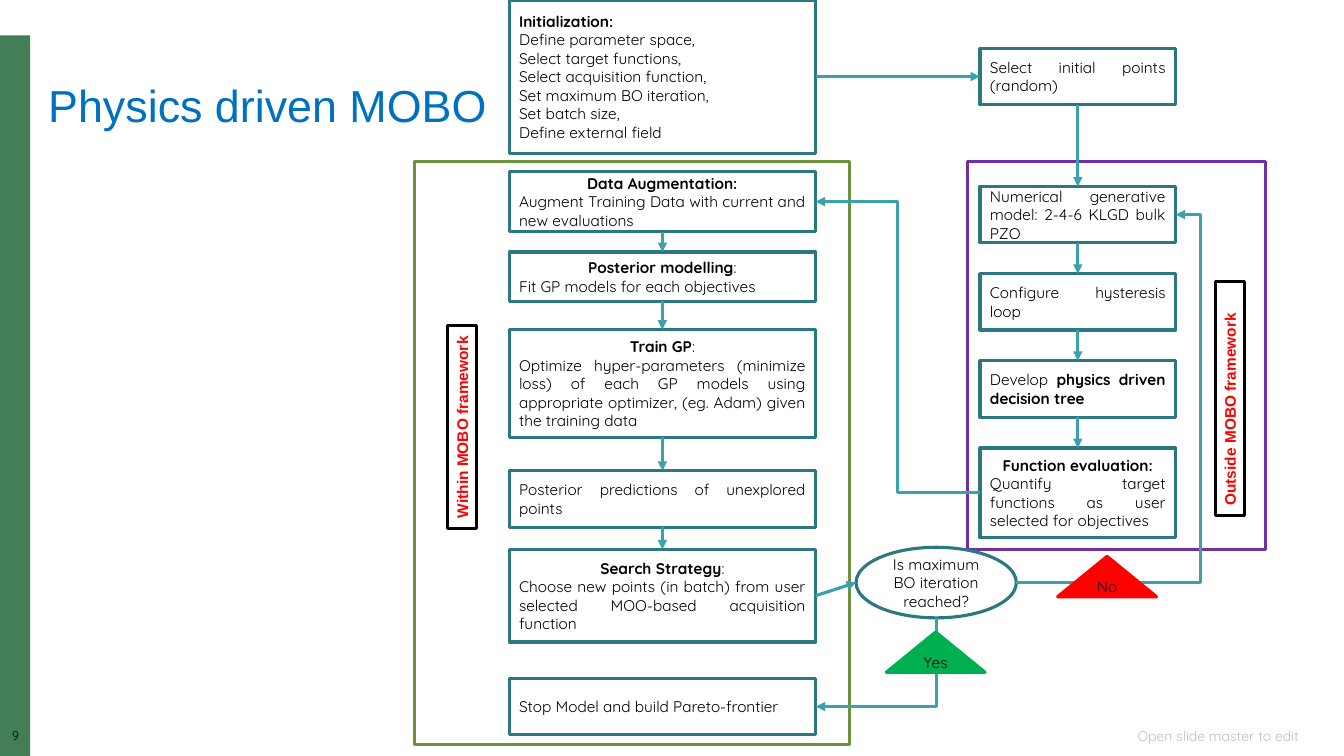
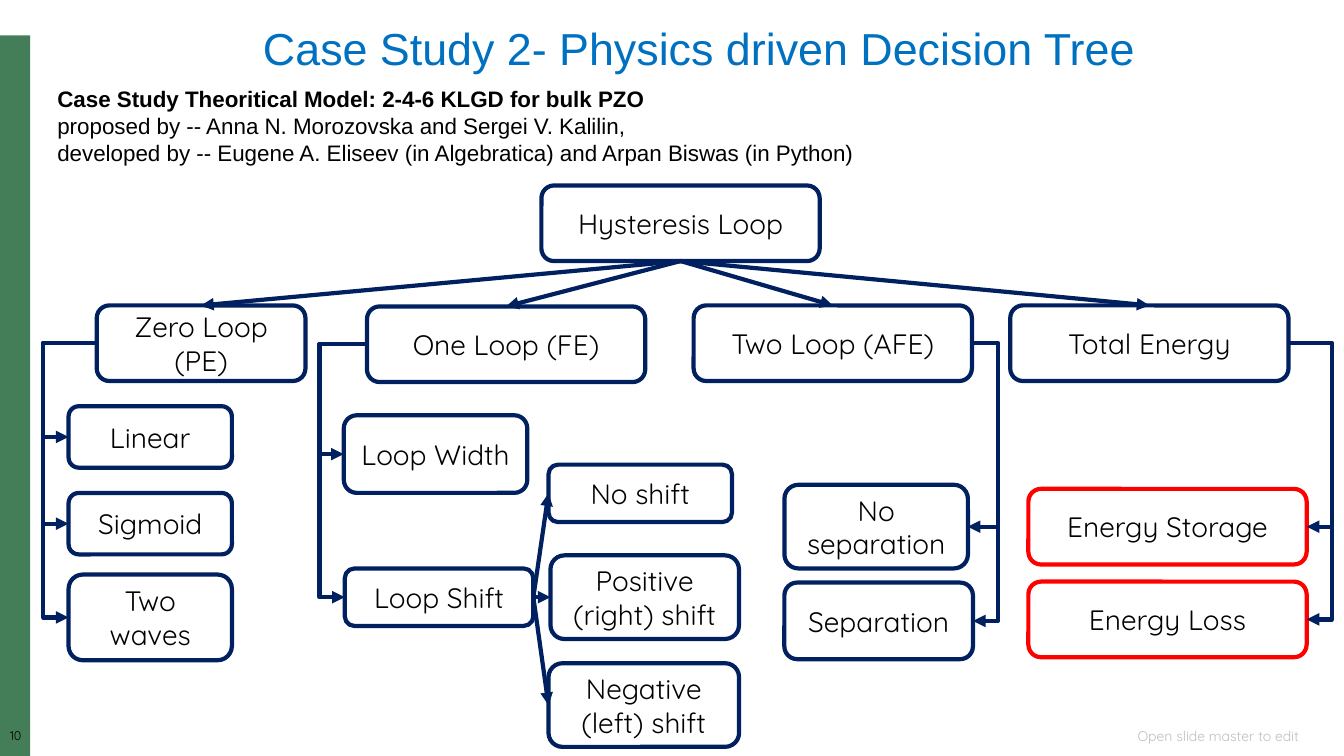
from dataclasses import dataclass
from itertools import pairwise

from lxml.etree import SubElement
from pptx import Presentation
from pptx.dml.color import RGBColor
from pptx.enum.shapes import MSO_CONNECTOR as Connector, MSO_SHAPE as Shape
from pptx.enum.text import MSO_ANCHOR as Anchor, PP_ALIGN as Align
from pptx.oxml.ns import qn
from pptx.util import Inches, Pt

COLORS = {
    "band": "447E59", "title": "0070C0", "text": "000000", "footer": "BFBFBF",
    "box": "2C7880", "arrow": "3BA2AD", "within": "6C923A", "outside": "7030A0",
    "tree": "002060", "red": "FF0000", "green": "00B050",
}
CELL = 0.1
COLUMNS, ROWS = 133.3, 75
TOP, LEFT, BOTTOM, RIGHT = range(4)
BODY, HEAD = "Quicksand", "Arial"
CENTER, JUSTIFY, START, END = Align.CENTER, Align.JUSTIFY, Align.LEFT, Align.RIGHT


@dataclass
class Box:
    """A rectangle in grid cells."""
    left: float
    top: float
    width: float
    height: float

    def area(self, left, top, width, height):
        """Return a rectangle placed from this one's top left corner."""
        return Box(self.left + left, self.top + top, width, height)

    def lengths(self):
        """Return the rectangle as slide lengths."""
        return [Inches(CELL * cells) for cells in (self.left, self.top, self.width, self.height)]


@dataclass
class Style:
    """The look of a text."""
    size: float
    font: str = BODY
    color: str = "text"
    bold: bool = False


FLOW, TREE = Style(11), Style(20)
LABEL = Style(11, HEAD, "red", True)


def rgb(name):
    """Look a colour up by name."""
    return RGBColor.from_string(COLORS[name])


def write(shape, paragraphs, style, anchor=Anchor.MIDDLE, wrap=True):
    """Fill a shape with paragraphs, each an alignment followed by its runs."""
    frame = shape.text_frame
    frame.word_wrap, frame.vertical_anchor = wrap, anchor
    for index, (align, *runs) in enumerate(paragraphs):
        paragraph = frame.add_paragraph() if index else frame.paragraphs[0]
        paragraph.alignment = align
        for text, bold in runs:
            run = paragraph.add_run()
            run.text = text
            font = run.font
            font.size, font.name, font.bold = Pt(style.size), style.font, bold or style.bold
            font.color.rgb = rgb(style.color)


def plain(text, align=JUSTIFY):
    """Return a paragraph of one regular run."""
    return align, (text, False)


def headed(heading, body, colon_bold=False):
    """Return a centred bold heading and its justified body."""
    runs = [(heading + ":", True)] if colon_bold else [(heading, True), (":", False)]
    return [(CENTER, *runs), plain(body)]


def add_text(slide, box, paragraphs, style, **options):
    """Add a text box."""
    shape = slide.shapes.add_textbox(*box.lengths())
    write(shape, paragraphs, style, **options)
    return shape


def add_node(slide, box, paragraphs=(), style=FLOW, line="box", kind=Shape.RECTANGLE,
             weight=2.25, fill=None, **options):
    """Add an outlined shape with text."""
    shape = slide.shapes.add_shape(kind, *box.lengths())
    shape.shadow.inherit = False
    if fill:
        shape.fill.solid()
        shape.fill.fore_color.rgb = rgb(fill)
    else:
        shape.fill.background()
    shape.line.color.rgb, shape.line.width = rgb(line), Pt(weight)
    write(shape, paragraphs, style, **options)
    return shape


def connect(slide, start, start_side, end, end_side, rail=None, corner=False,
            color="arrow", weight=2.25):
    """Glue an arrow to two shapes, straight, bent at a rail column, or with one corner."""
    kind = Connector.ELBOW if corner or rail is not None else Connector.STRAIGHT
    connector = slide.shapes.add_connector(kind, 0, 0, 0, 0)
    connector.begin_connect(start, start_side)
    connector.end_connect(end, end_side)
    element = connector._element
    for shape, side, tag in ((start, start_side, "a:stCxn"), (end, end_side, "a:endCxn")):
        if shape.auto_shape_type == Shape.OVAL:
            element.find(".//" + qn(tag)).set("idx", str(2 * side))
    connector.line.color.rgb, connector.line.width = rgb(color), Pt(weight)
    line = element.spPr.find(qn("a:ln"))
    SubElement(line, qn("a:headEnd" if corner else "a:tailEnd"), type="triangle")
    SubElement(element.spPr, qn("a:effectLst"))
    geometry = element.spPr.find(qn("a:prstGeom"))
    if corner:
        geometry.set("prst", "bentConnector2")
    elif rail is not None:
        share = (Inches(CELL * rail) - connector.begin_x) / (connector.end_x - connector.begin_x)
        adjustments = geometry.find(qn("a:avLst"))
        if adjustments is None:
            adjustments = SubElement(geometry, qn("a:avLst"))
        SubElement(adjustments, qn("a:gd"), name="adj1", fmla=f"val {round(share * 100000)}")


def add_base(presentation, number, title, title_box):
    """Add a slide with the band, page number, footer and title."""
    slide = presentation.slides.add_slide(presentation.slide_layouts[6])
    band = add_node(slide, Box(0, 3.5, 3, ROWS - 3.5), fill="band")
    band.line.fill.background()
    page = add_text(slide, Box(0, 72.4, 3.1, 1.7), [plain(number, CENTER)], Style(9), anchor=Anchor.TOP)
    frame = page.text_frame
    frame.margin_left = frame.margin_right = frame.margin_top = frame.margin_bottom = 0
    frame.paragraphs[0].line_spacing = 0.9
    add_text(slide, Box(87.6, 72, 42.2, 2), [plain("Open slide master to edit", END)],
             Style(10, color="footer"))
    add_text(slide, title_box, [plain(title, START)], Style(32, HEAD, "title"),
             anchor=Anchor.TOP, wrap=False)
    return slide


def draw_setup(slide, box):
    """Draw the initialization and the first points."""
    lines = ["Define parameter space,", "Select target functions,", "Select acquisition function,",
             "Set maximum BO iteration,", "Set batch size,", "Define external field"]
    start = add_node(slide, box.area(0, 0, 30.4, box.height),
                     [(JUSTIFY, ("Initialization:", True)), *map(plain, lines)])
    points = add_node(slide, box.area(box.width - 19.4, 4.8, 19.4, 5.6),
                      [plain("Select initial points (random)")])
    connect(slide, start, RIGHT, points, LEFT)
    return points


def draw_chain(slide, box, left, width, steps):
    """Draw steps below one another, joined by arrows."""
    nodes = [add_node(slide, box.area(left, top, width, height), paragraphs)
             for top, height, paragraphs in steps]
    for upper, lower in pairwise(nodes):
        connect(slide, upper, BOTTOM, lower, TOP)
    return nodes


def draw_frame(slide, box, color, label, label_box):
    """Draw a frame with its upright label."""
    add_node(slide, box, line=color)
    tag = add_node(slide, label_box, [plain(label, START)], LABEL, "text",
                   anchor=Anchor.TOP, wrap=False)
    tag.rotation = 270


def draw_within(slide, box):
    """Draw the steps inside the framework and the final stop."""
    steps = [
        (1, 6, headed("Data Augmentation", "Augment Training Data with current and new evaluations", True)),
        (9, 4.9, headed("Posterior modelling", "Fit GP models for each objectives")),
        (16.7, 10.7, headed("Train GP", "Optimize hyper-parameters (minimize loss) of each GP models "
                            "using appropriate optimizer, (eg. Adam) given the training data")),
        (30.7, 5.6, [plain("Posterior predictions of unexplored points")]),
        (38.5, 9.2, headed("Search Strategy", "Choose new points (in batch) from user selected "
                           "MOO-based acquisition function")),
    ]
    nodes = draw_chain(slide, box, 9.4, 30.4, steps)
    stop = add_node(slide, box.area(9.4, 51.3, 30.4, 5.6),
                    [plain("Stop Model and build Pareto-frontier")])
    draw_frame(slide, box, "within", "Within MOBO framework", box.area(-5.3, 24.9, 20.1, 2.9))
    return nodes[0], nodes[-1], stop


def draw_outside(slide, box):
    """Draw the steps outside the framework."""
    contents = [
        (5.6, [plain("Numerical generative model: 2-4-6 KLGD bulk PZO")]),
        (5.6, [plain("Configure hysteresis loop")]),
        (5.6, [(JUSTIFY, ("Develop ", False), ("physics driven decision tree", True))]),
        (8.9, headed("Function evaluation",
                     "Quantify target functions as user selected for objectives", True)),
    ]
    steps = [(2.5 + 8.65 * index, *content) for index, content in enumerate(contents)]
    nodes = draw_chain(slide, box, 1.2, 19.4, steps)
    draw_frame(slide, box, "outside", "Outside MOBO framework", box.area(14.4, 22.1, 23.2, 2.9))
    return nodes[0], nodes[-1]


def draw_decision(slide, box, search, stop, model):
    """Draw the question with its two answers."""
    question = add_node(slide, box.area(0, 0, 15.9, 7),
                        [plain("Is maximum BO iteration reached?", CENTER)], kind=Shape.OVAL)
    connect(slide, search, RIGHT, question, LEFT)
    connect(slide, question, RIGHT, model, RIGHT, rail=box.left + box.width)
    connect(slide, stop, RIGHT, question, BOTTOM, corner=True)
    for text, color, left, top in (("No", "red", 20, 0.9), ("Yes", "green", 3, 8.4)):
        add_node(slide, box.area(left, top, 9.8, 4), [plain(text, CENTER)], line=color,
                 kind=Shape.ISOSCELES_TRIANGLE, fill=color)


def build_flow(presentation):
    """Build the flow chart slide."""
    slide = add_base(presentation, "9", "Physics driven MOBO", Box(3.8, 7.2, 45.9, 6.4))
    points = draw_setup(slide, Box(50.5, 0, 66.1, 15.2))
    augmentation, search, stop = draw_within(slide, Box(41.1, 16, 43.2, 57.9))
    model, evaluation = draw_outside(slide, Box(96, 16, 29.5, 38.5))
    connect(slide, points, BOTTOM, model, TOP)
    connect(slide, evaluation, LEFT, augmentation, RIGHT, rail=89)
    draw_decision(slide, Box(84.9, 54.3, 34.2, 12.4), search, stop, model)


def add_leaf(slide, box, text, color="tree"):
    """Add a rounded box of the tree."""
    return add_node(slide, box, [plain(text, CENTER)], TREE, color, Shape.ROUNDED_RECTANGLE, 3)


def draw_branch(slide, box, root, parent, children, side, color="tree"):
    """Draw a parent under the root, with children on a rail at one edge of the box."""
    text, *place = parent
    head = add_leaf(slide, box.area(*place), text)
    connect(slide, root, BOTTOM, head, TOP, color="tree", weight=3)
    rail = box.left + (box.width if side == RIGHT else 0)
    leaves = []
    for text, *place in children:
        leaves.append(add_leaf(slide, box.area(*place), text, color))
        connect(slide, head, side, leaves[-1], side, rail=rail, color="tree", weight=3)
    return leaves


def draw_shifts(slide, box, source):
    """Draw the kinds of loop shift."""
    for text, *place in (("No shift", 0, 0, 18.2, 5.7),
                         ("Positive (right) shift", 0.2, 9, 18.7, 8.3),
                         ("Negative (left) shift", 0, 19.7, 18.9, 8.3)):
        leaf = add_leaf(slide, box.area(*place), text)
        connect(slide, source, RIGHT, leaf, LEFT, color="tree", weight=3)


def build_tree(presentation):
    """Build the decision tree slide."""
    slide = add_base(presentation, "10", "Case Study 2- Physics driven Decision Tree",
                     Box(25.1, 1.6, 89.2, 6.4))
    add_text(slide, Box(4.7, 8, 126.9, 9.1), [
        (START, ("Case Study Theoritical Model: 2-4-6 KLGD for bulk PZO", True)),
        plain("proposed by -- Anna N. Morozovska and Sergei V. Kalilin,", START),
        plain("developed by -- Eugene A. Eliseev (in Algebratica) and Arpan Biswas (in Python)", START),
    ], Style(16, HEAD), anchor=Anchor.TOP)
    root = add_leaf(slide, Box(53.7, 18.4, 27.6, 7.5), "Hysteresis Loop")
    draw_branch(slide, Box(4.3, 30.3, 26, 35.2), root, ("Zero Loop (PE)", 5.3, 0, 20.7, 7.5),
                [("Linear", 2.5, 10, 16.2, 6.1), ("Sigmoid", 2.5, 18.6, 16.2, 6.1),
                 ("Two waves", 2.5, 26.7, 16.2, 8.5)], LEFT)
    loops = draw_branch(slide, Box(31.7, 30.4, 32.4, 31.7), root, ("One Loop (FE)", 4.7, 0, 27.6, 7.5),
                        [("Loop Width", 2.4, 10.8, 18.2, 7.7), ("Loop Shift", 2.5, 26, 18.7, 5.7)], LEFT)
    draw_branch(slide, Box(68.8, 30.3, 30.2, 35.1), root, ("Two Loop (AFE)", 0, 0, 27.6, 7.5),
                [("No separation", 9, 17.8, 18.2, 8.3), ("Separation", 9, 27.5, 18.7, 7.6)], RIGHT)
    draw_branch(slide, Box(100.2, 30.3, 31.9, 34.9), root, ("Total Energy", 0, 0, 27.6, 7.5),
                [("Energy Storage", 1.8, 18.2, 27.6, 7.5), ("Energy Loss", 1.8, 27.4, 27.6, 7.5)],
                RIGHT, "red")
    draw_shifts(slide, Box(54.4, 46.1, 18.9, 28), loops[-1])


def main():
    """Build and save the presentation."""
    presentation = Presentation()
    presentation.slide_width, presentation.slide_height = Inches(CELL * COLUMNS), Inches(CELL * ROWS)
    build_flow(presentation)
    build_tree(presentation)
    presentation.save("out.pptx")


if __name__ == "__main__":
    main()
